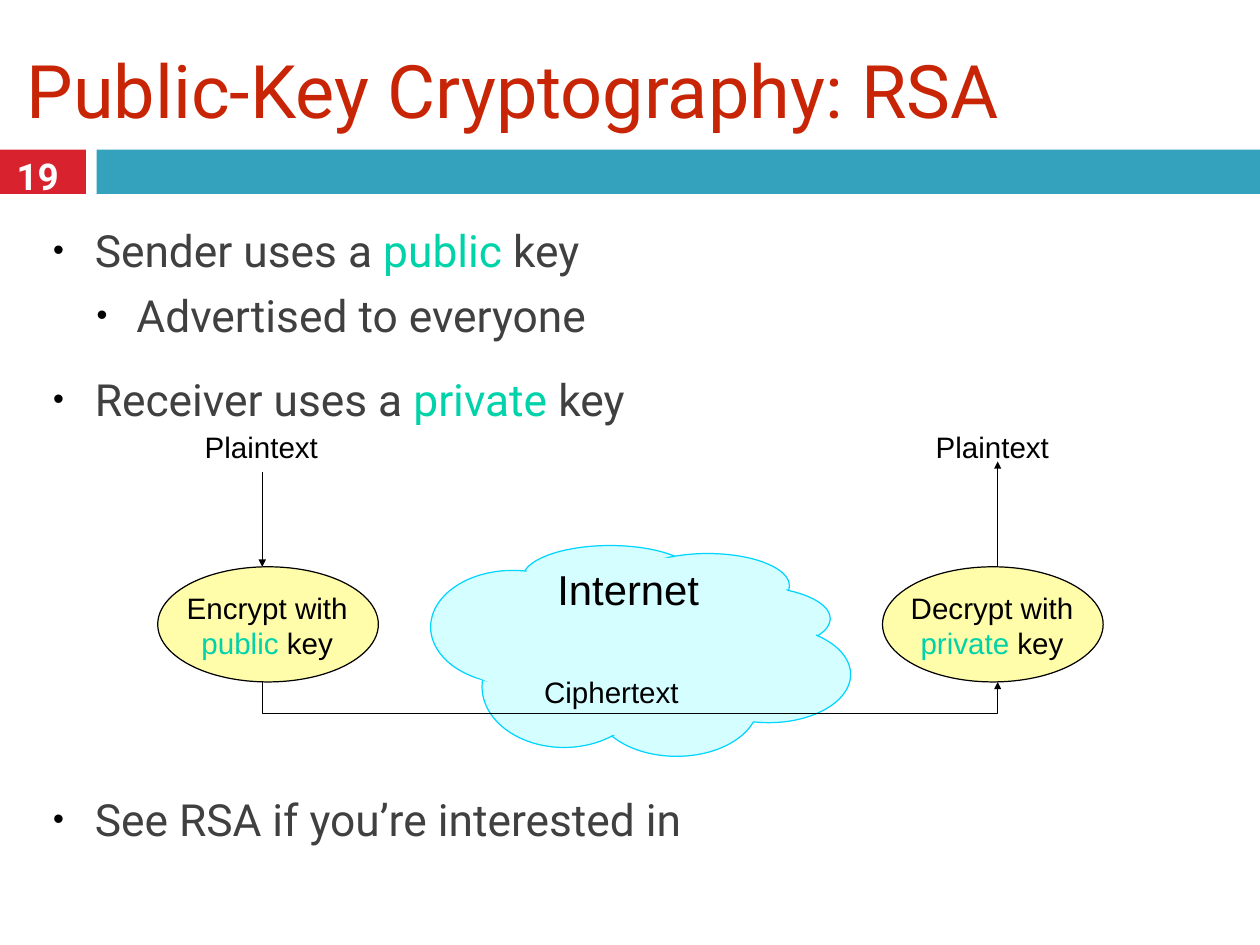
import pptx
import pptx.dml.color
import pptx.enum.shapes
import pptx.enum.text
import pptx.oxml
import pptx.oxml.ns
import pptx.util
from pptx.util import Inches

RGBColor = pptx.dml.color.RGBColor
Shape = pptx.enum.shapes.MSO_SHAPE
Align = pptx.enum.text.PP_ALIGN
Anchor = pptx.enum.text.MSO_ANCHOR

RED = RGBColor(0xD8, 0x23, 0x2F)
TEAL = RGBColor(0x35, 0xA2, 0xBD)
TITLE_RED = RGBColor(0xC8, 0x25, 0x06)
GREY = RGBColor(0x40, 0x40, 0x40)
GREEN = RGBColor(0x00, 0xD2, 0xA9)
BLACK = RGBColor(0x00, 0x00, 0x00)
OFF_WHITE = RGBColor(0xFE, 0xFE, 0xFE)
YELLOW = RGBColor(0xFF, 0xFD, 0xA9)
CLOUD = RGBColor(0xD4, 0xFE, 0xFF)
CLOUD_EDGE = RGBColor(0x00, 0xD5, 0xFF)


def child(parent, tag, **attributes):
    """Append an empty DrawingML element to parent."""
    element = pptx.oxml.parse_xml(f"<a:{tag} {pptx.oxml.ns.nsdecls('a')}/>")
    for name, value in attributes.items():
        element.set(name, value)
    parent.append(element)
    return element


class Painter:
    """Draws styled elements on one slide."""

    def __init__(self, page):
        self.page = page

    def paint(self, shape, fill=None, edge=None):
        shape.shadow.inherit = False
        if fill is None:
            shape.fill.background()
        else:
            shape.fill.solid()
            shape.fill.fore_color.rgb = fill
        if edge is None:
            shape.line.fill.background()
        else:
            self.stroke(shape.line, edge)

    def stroke(self, line, color):
        line.color.rgb = color
        line.width = pptx.util.Pt(1)

    def shape(self, kind, place, fill, edge=None, shapes=None):
        target = self.page.shapes if shapes is None else shapes
        self.paint(target.add_shape(kind, *map(Inches, place)), fill, edge)

    def outline(self, points, fill=None, edge=None, closed=False, shapes=None):
        target = self.page.shapes if shapes is None else shapes
        corners = [(Inches(x), Inches(y)) for x, y in points]
        builder = target.build_freeform(*corners[0])
        builder.add_line_segments(corners[1:], close=closed)
        shape = builder.convert_to_shape()
        self.paint(shape, fill, edge)
        return shape

    def arrow_tip(self, line_owner):
        child(line_owner.line._get_or_add_ln(), "tailEnd", type="triangle")

    def arrow(self, x, start, end):
        """Draw a vertical arrow."""
        line = self.page.shapes.add_connector(
            pptx.enum.shapes.MSO_CONNECTOR.STRAIGHT,
            Inches(x), Inches(start), Inches(x), Inches(end))
        self.stroke(line.line, BLACK)
        self.arrow_tip(line)
        child(line._element.spPr, "effectLst")

    def frame(self, place, inset, wrap, anchor=Anchor.TOP):
        box = self.page.shapes.add_textbox(*map(Inches, place))
        frame = box.text_frame
        frame.word_wrap = wrap
        frame.vertical_anchor = anchor
        frame.margin_left = frame.margin_right = Inches(inset)
        frame.margin_top = frame.margin_bottom = Inches(inset)
        return frame

    def spans(self, para, runs, size, font, bold=False):
        for text, color in runs:
            span = para.add_run()
            span.text = text
            span.font.size = pptx.util.Pt(size)
            span.font.name = font
            span.font.bold = bold
            span.font.color.rgb = color

    def text(self, place, lines, size, font="Arial", align=Align.LEFT, bold=False,
             inset=0.08, indent=0.04, wrap=False, anchor=Anchor.TOP):
        frame = self.frame(place, inset, wrap, anchor)
        for index, runs in enumerate(lines):
            para = frame.add_paragraph() if index else frame.paragraphs[0]
            para.alignment = align
            para._p.get_or_add_pPr().set("marL", str(Inches(indent)))
            self.spans(para, runs, size, font, bold)

    def bullets(self, place, items):
        """Each item is level, space before in points, and runs."""
        frame = self.frame(place, 0.06, True)
        for index, (level, space, runs) in enumerate(items):
            para = frame.add_paragraph() if index else frame.paragraphs[0]
            para.level = level
            para.space_before = pptx.util.Pt(space)
            properties = para._p.get_or_add_pPr()
            properties.set("marL", str(Inches(0.47 * (level + 1))))
            properties.set("indent", str(Inches(-0.45 if level else -0.47)))
            child(child(properties, "buClr"), "srgbClr", val=str(BLACK))
            child(properties, "buSzPct", val="70000")
            child(properties, "buFont", typeface="Arial")
            child(properties, "buChar", char="•")
            self.spans(para, runs, 36, "Roboto")


def draw_cloud(painter):
    group = painter.page.shapes.add_group_shape()
    puffs = [(5.9, 6.16, 1.97, 0.73), (7.06, 6.25, 1.85, 0.73),
             (7.52, 6.62, 1.85, 0.73), (7.75, 7.07, 1.85, 1.09),
             (6.71, 7.35, 1.85, 1.19), (5.44, 7.07, 1.85, 1.37),
             (4.86, 6.44, 1.85, 1.28)]
    for puff in puffs:
        painter.shape(Shape.OVAL, puff, CLOUD, CLOUD_EDGE, group.shapes)
    core = [(5.44, 6.62), (6.25, 6.35), (6.94, 6.26), (8.33, 6.35),
            (8.79, 6.53), (9.02, 6.89), (9.25, 6.99), (9.02, 7.99),
            (7.52, 8.44), (6.02, 8.08), (5.56, 7.72), (5.32, 7.62)]
    painter.outline(core, CLOUD, closed=True, shapes=group.shapes)
    painter.text((6.17, 6.28, 1.85, 0.69), [[("Internet", BLACK)]], 34)


def main():
    deck = pptx.Presentation()
    deck.slide_width, deck.slide_height = Inches(14.22), Inches(10.67)
    painter = Painter(deck.slides.add_slide(deck.slide_layouts[6]))

    painter.shape(Shape.RECTANGLE, (-0.12, 1.69, 1.09, 0.5), RED)
    painter.shape(Shape.RECTANGLE, (1.09, 1.69, 13.14, 0.5), TEAL)
    painter.text((0.24, 0.1, 13.75, 1.81), [[("Public-Key Cryptography: RSA", TITLE_RED)]],
                 60, "Roboto", inset=0.06, indent=0, wrap=True, anchor=Anchor.MIDDLE)
    painter.bullets((0.54, 2.46, 13.14, 7.66), [
        (0, 25, [("Sender uses a ", GREY), ("public", GREEN), (" key", GREY)]),
        (1, 10, [("Advertised to everyone", GREY)]),
        (0, 25, [("Receiver uses a ", GREY), ("private", GREEN), (" key", GREY)]),
        (0, 298, [("See RSA if you’re interested in", GREY)]),
    ])
    painter.text((0, 1.67, 0.85, 0.61), [[("19", OFF_WHITE)]], 30, "Roboto",
                 Align.CENTER, bold=True, inset=0.06, indent=0)

    draw_cloud(painter)
    for left, action, key in [(1.78, "Encrypt", "public"), (9.96, "Decrypt", "private")]:
        painter.shape(Shape.OVAL, (left, 6.4, 2.49, 1.3), YELLOW, BLACK)
        painter.text((left + 0.12, 6.58, 2.19, 0.97),
                     [[(f"{action} with", BLACK)], [(key, GREEN), (" key", BLACK)]],
                     24, align=Align.CENTER)
    for left in (2.19, 10.44):
        painter.text((left, 4.76, 1.6, 0.56), [[("Plaintext", BLACK)]], 24)

    sender, receiver = 2.96, 11.26
    painter.arrow(sender, 5.33, 6.4)
    route = painter.outline([(sender, 7.7), (sender, 8.06), (receiver, 8.06), (receiver, 7.7)],
                            edge=BLACK)
    painter.arrow_tip(route)
    painter.arrow(receiver, 6.4, 5.21)
    painter.text((6.02, 7.53, 1.86, 0.56), [[("Ciphertext", BLACK)]], 24)
    deck.save("out.pptx")


if __name__ == "__main__":
    main()
